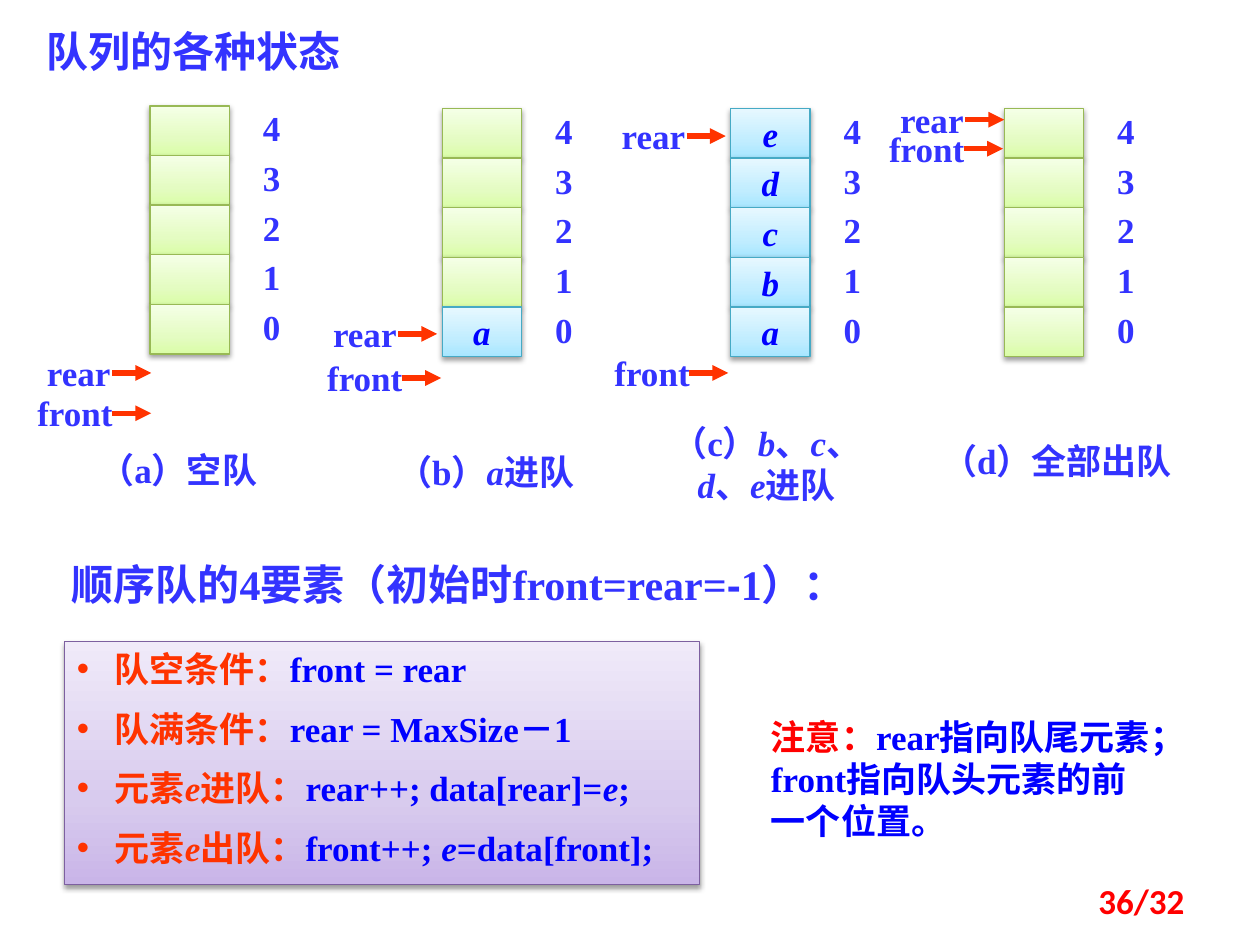
from dataclasses import dataclass

from lxml.etree import SubElement
from pptx import Presentation
from pptx.dml.color import RGBColor
from pptx.enum.shapes import MSO_CONNECTOR, MSO_SHAPE
from pptx.enum.text import MSO_ANCHOR, MSO_AUTO_SIZE, PP_ALIGN
from pptx.oxml import parse_xml
from pptx.oxml.ns import nsdecls, qn
from pptx.util import Inches, Pt


@dataclass(frozen=True)
class Theme:
    heading: str = "3333FF"
    body: str = "0000FF"
    key: str = "FF3300"
    alert: str = "FF0000"
    shadow: str = "000000"
    # Each surface: gradient from bottom to top, then outline
    empty: tuple = ("DAFDA7", "E4FCC2", "F5FFE7", "98B955")
    filled: tuple = ("A7E6FF", "C1EDFF", "E7F8FF", "46AAC5")
    panel: tuple = ("C9B5E8", "D8CBEE", "F0EAF9", "7D60A0")
    latin: str = "Times New Roman"
    chinese: str = "Noto Sans CJK SC"
    symbol: str = "Arial"
    number: str = "Calibri"
    title_size: int = 24
    text_size: int = 20


THEME = Theme()
ROWS = 5
COLUMN_HEIGHT = 1.97
CELL_WIDTH = 0.63
ARROW_LENGTH = 0.31
POINTERS = {"rear": (0.66, 0.79), "front": (0.77, 0.95)}  # label offset, width

# Column left and top, contents from row 4 down to 0,
# pointers (name, arrow start from column, arrow y)
STATES = [
    (1.19, 0.84, "     ", [("rear", -0.30, 2.96), ("front", -0.30, 3.28)]),
    (3.51, 0.86, "    a", [("front", -0.32, 3.00), ("rear", -0.35, 2.65)]),
    (5.80, 0.86, "edcba", [("front", -0.33, 2.96), ("rear", -0.35, 1.08)]),
    (7.97, 0.86, "     ", [("front", -0.32, 1.18), ("rear", -0.31, 0.95)]),
]

ITALIC = {"italic": True}
KEY = {"color": THEME.key}
KEY_ITALIC = {**KEY, **ITALIC}

CAPTIONS = [
    ((0.63, 3.51, 1.57, 0.43), ["（a）空队"]),
    ((2.91, 3.53, 1.89, 0.43), ["（b）", ("a", ITALIC), "进队"]),
    ((5.20, 3.30, 1.77, 0.77), ["（c）", ("b", ITALIC), "、", ("c", ITALIC), "、",
                                ("d", ITALIC), "、", ("e", ITALIC), "进队"]),
    ((7.37, 3.44, 2.04, 0.44), ["（d）全部出队"]),
]

RULES = [
    [("队空条件：", KEY), "front = rear"],
    [("队满条件：", KEY), "rear = MaxSize－1"],
    [("元素", KEY), ("e", KEY_ITALIC), ("进队：", KEY),
     "rear++; data[rear]=", ("e", ITALIC), ";"],
    [("元素", KEY), ("e", KEY_ITALIC), ("出队：", KEY),
     "front++; ", ("e", ITALIC), "=data[front];"],
]


def add_run(paragraph, text, color=THEME.heading, size=THEME.text_size,
            font=THEME.latin, bold=True, italic=False):
    run = paragraph.add_run()
    run.text = text
    run.font.size = Pt(size)
    run.font.bold = bold
    run.font.italic = italic
    run.font.color.rgb = RGBColor.from_string(color)
    run.font.name = font
    SubElement(run.font._element, qn("a:ea"), typeface=THEME.chinese)


def write_runs(paragraph, runs, align=PP_ALIGN.LEFT, **style):
    """Each run is plain text or a pair of text and its own format."""
    paragraph.alignment = align
    for run in runs:
        text, own_style = (run, {}) if isinstance(run, str) else run
        add_run(paragraph, text, **{**style, **own_style})


def place(shape, box):
    shape.left, shape.top, shape.width, shape.height = map(Inches, box)


def add_text(shapes, box, runs, anchor=MSO_ANCHOR.TOP, **style):
    shape = shapes.add_textbox(*map(Inches, box))
    shape.text_frame.word_wrap = True
    shape.text_frame.vertical_anchor = anchor
    write_runs(shape.text_frame.paragraphs[0], runs, **style)


def paint(shape, surface):
    """Give a shape its three-stop gradient, outline and soft shadow."""
    *colors, outline = surface
    stops = "".join(
        f'<a:gs pos="{position}"><a:srgbClr val="{color}"/></a:gs>'
        for position, color in zip((0, 35000, 100000), colors))
    shape.fill.gradient()
    properties = shape._element.spPr
    properties.replace(properties.find(qn("a:gradFill")), parse_xml(
        f'<a:gradFill {nsdecls("a")}><a:gsLst>{stops}</a:gsLst>'
        '<a:lin ang="16200000" scaled="1"/></a:gradFill>'))
    shape.line.color.rgb = RGBColor.from_string(outline)
    shape.line.width = Pt(0.75)
    shape.shadow.inherit = False
    properties.find(qn("a:effectLst")).append(parse_xml(
        f'<a:outerShdw {nsdecls("a")} blurRad="{Pt(3.1)}" dist="{Pt(1.6)}" '
        f'dir="5400000" rotWithShape="0"><a:srgbClr val="{THEME.shadow}">'
        '<a:alpha val="38000"/></a:srgbClr></a:outerShdw>'))


def add_cell(shapes, box, content):
    cell = shapes.add_shape(MSO_SHAPE.RECTANGLE, *map(Inches, box))
    paint(cell, THEME.filled if content else THEME.empty)
    if content:
        cell.text_frame.word_wrap = False
        cell.text_frame.vertical_anchor = MSO_ANCHOR.MIDDLE
        write_runs(cell.text_frame.paragraphs[0], [content],
                   align=PP_ALIGN.CENTER, color=THEME.body, italic=True)


def add_pointer(shapes, name, x, y):
    arrow = shapes.add_connector(MSO_CONNECTOR.STRAIGHT, Inches(x), Inches(y),
                                 Inches(x + ARROW_LENGTH), Inches(y))
    arrow.line.color.rgb = RGBColor.from_string(THEME.key)
    arrow.line.width = Pt(3)
    SubElement(arrow.line._get_or_add_ln(), qn("a:tailEnd"), type="triangle")
    SubElement(arrow._element.spPr, qn("a:effectLst"))
    offset, width = POINTERS[name]
    add_text(shapes, (x - offset, y - 0.22, width, 0.43), [name],
             align=PP_ALIGN.CENTER)


def add_queue(slide, left, top, contents, pointers):
    shapes = slide.shapes.add_group_shape().shapes
    row_height = COLUMN_HEIGHT / ROWS
    for row, content in enumerate(contents):
        y = top + row * row_height
        add_cell(shapes, (left, y, CELL_WIDTH, row_height), content.strip())
        add_text(shapes, (left + 0.73, y - 0.04, 0.47, 0.43),
                 [str(ROWS - 1 - row)], align=PP_ALIGN.CENTER)
    for name, offset, y in pointers:
        add_pointer(shapes, name, left + offset, y)


def prepare_placeholder(shape, box):
    place(shape, box)
    frame = shape.text_frame
    frame.word_wrap = True
    frame.auto_size = MSO_AUTO_SIZE.NONE
    frame.vertical_anchor = MSO_ANCHOR.TOP
    return frame


def fill_title(shape, box):
    frame = prepare_placeholder(shape, box)
    write_runs(frame.paragraphs[0], ["队列的各种状态"],
               size=THEME.title_size, font=THEME.chinese)


def fill_rules(shape, box):
    frame = prepare_placeholder(shape, box)
    paint(shape, THEME.panel)
    for index, runs in enumerate(RULES):
        paragraph = frame.paragraphs[0] if index == 0 else frame.add_paragraph()
        properties = paragraph._p.get_or_add_pPr()
        properties.set("marL", str(Inches(0.3)))
        properties.set("indent", str(-Inches(0.3)))
        SubElement(properties, qn("a:buChar"), char="•")
        paragraph.space_before = Pt(10 if index else 0)
        write_runs(paragraph, runs, color=THEME.body)


def main():
    presentation = Presentation()
    presentation.slide_width, presentation.slide_height = Inches(10), Inches(7.5)
    slide = presentation.slides.add_slide(presentation.slide_layouts[1])

    # Title and queue states
    fill_title(slide.shapes.title, (0.27, 0.15, 3.09, 0.5))
    for state in STATES:
        add_queue(slide, *state)
    for box, runs in CAPTIONS:
        add_text(slide.shapes, box, runs, align=PP_ALIGN.CENTER)

    # Conditions and operations
    add_text(slide.shapes, (0.47, 4.38, 7.72, 0.5),
             ["顺序队的4要素（初始时front=rear=", ("-", {"font": THEME.symbol}), "1）："],
             size=THEME.title_size)
    fill_rules(slide.placeholders[1], (0.51, 5.09, 5.04, 1.93))
    add_text(slide.shapes, (6.02, 5.63, 3.28, 1.11),
             [("注意：", {"color": THEME.alert, "font": THEME.chinese}),
              "rear指向队尾元素；front指向队头元素的前一个位置。"], color=THEME.body)

    # Page number
    add_text(slide.shapes, (7.17, 6.95, 2.33, 0.4), ["36/32"],
             anchor=MSO_ANCHOR.MIDDLE, align=PP_ALIGN.RIGHT,
             color=THEME.alert, font=THEME.number)
    presentation.save("out.pptx")


if __name__ == "__main__":
    main()
